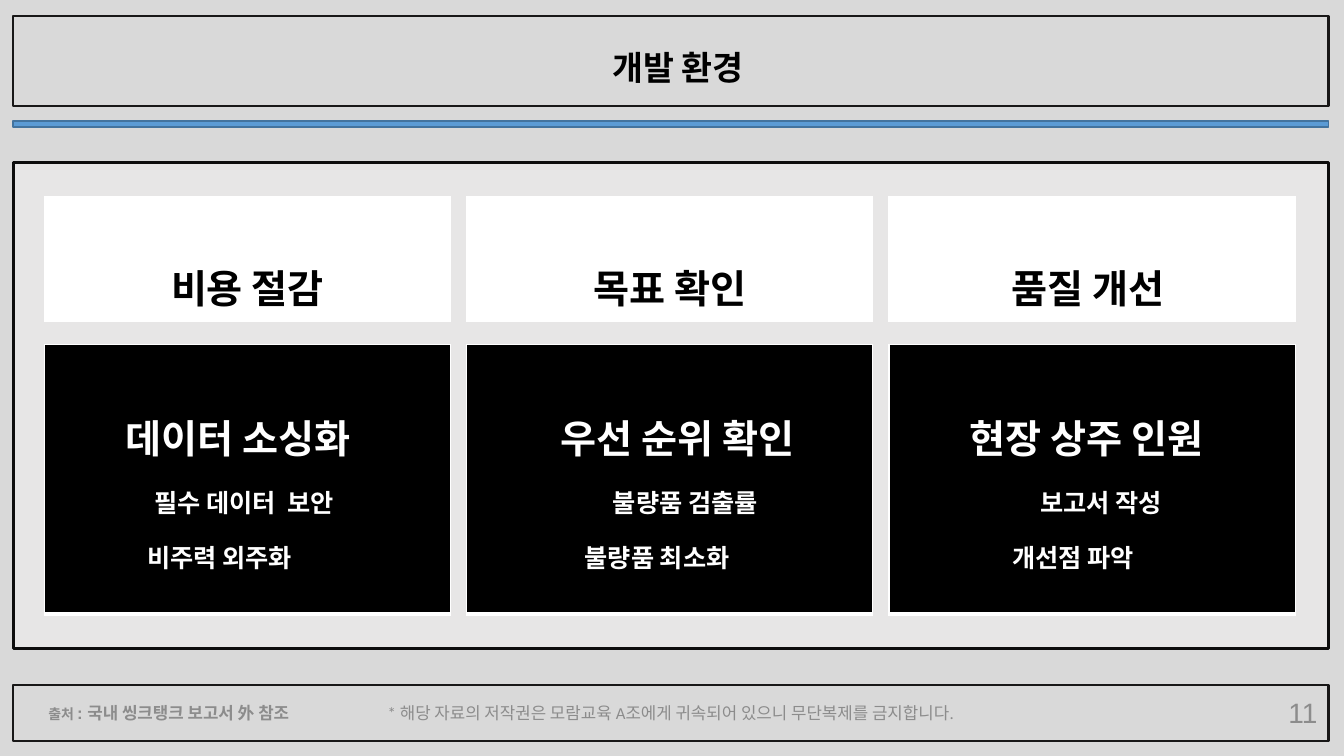
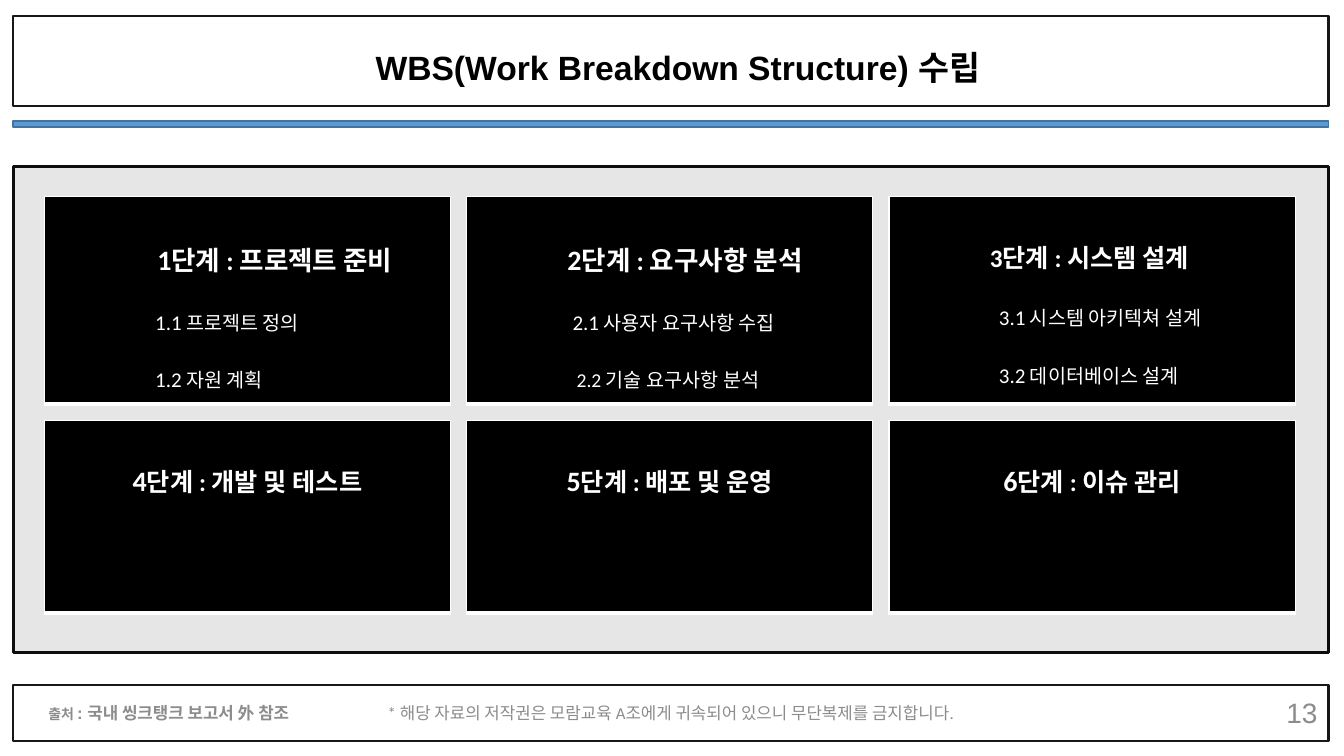
from dataclasses import dataclass

from lxml import etree
from pptx import Presentation
from pptx.dml.color import RGBColor
from pptx.enum.shapes import MSO_SHAPE
from pptx.enum.text import MSO_ANCHOR, MSO_AUTO_SIZE, PP_ALIGN
from pptx.oxml.ns import qn
from pptx.util import Emu, Inches, Pt

RECTANGLE = MSO_SHAPE.RECTANGLE
MIDDLE = MSO_ANCHOR.MIDDLE
NO_AUTOFIT = MSO_AUTO_SIZE.NONE
LEFT, CENTER, RIGHT = PP_ALIGN.LEFT, PP_ALIGN.CENTER, PP_ALIGN.RIGHT

BLACK = RGBColor(0x00, 0x00, 0x00)
WHITE = RGBColor(0xFF, 0xFF, 0xFF)
SILVER = RGBColor(0xD9, 0xD9, 0xD9)
PANEL = RGBColor(0xE7, 0xE6, 0xE6)
PANEL_EDGE = RGBColor(0x0D, 0x0D, 0x0D)
FRAME_EDGE = RGBColor(0x18, 0x17, 0x17)
BLUE = RGBColor(0x5B, 0x9B, 0xD5)
BLUE_EDGE = RGBColor(0x43, 0x73, 0x9E)
GRAY = RGBColor(0x8C, 0x8C, 0x8C)

HEADING_FONT, BODY_FONT = "Arial", "Calibri"
TITLE_ONLY = 5

# Grid in inches
FRAME_LEFT, FRAME_WIDTH = 0.13, 13.05
CARD_LEFT, CARD_WIDTH, CARD_PITCH = 0.44, 4.03, 4.19
CELL_MARGIN = 0.05
BORDERS = (("a:lnL", 1), ("a:lnR", 1), ("a:lnT", 1), ("a:lnB", 3))


@dataclass(frozen=True)
class Span:
    text: str
    size: float


@dataclass(frozen=True)
class Line:
    spans: tuple[Span, ...]
    indent: float | None = None  # inches; None centres the line
    bold: bool = True


@dataclass(frozen=True)
class Row:
    """A row of cards that share position, colours and spacing."""
    top: float
    height: float
    cards: tuple[tuple[Line, ...], ...]
    fill: RGBColor = BLACK
    ink: RGBColor = WHITE
    font: str = BODY_FONT
    spacing: float = 2.0
    top_margin: float = CELL_MARGIN


@dataclass(frozen=True)
class Page:
    title: str
    number: int
    background: RGBColor
    panel_top: float
    rows: tuple[Row, ...]


def heading(text: str) -> tuple[Line, ...]:
    return (Line((Span(text, 28),)),)


def topic(title: str, first: str, second: str,
          indents: tuple[float, float, float]) -> tuple[Line, ...]:
    texts = zip((title, first, second), (28, 18, 18), indents)
    return tuple(Line((Span(text, size),), indent)
                 for text, size, indent in texts)


def stage(number: str, name: str, number_size: float = 20,
          name_size: float = 18, indent: float | None = None) -> Line:
    return Line((Span(number, number_size),
                 Span(f"단계 : {name}", name_size)), indent)


def task(number: str, name: str, indent: float,
         number_size: float = 15) -> Line:
    return Line((Span(number, number_size), Span(f" {name}", 14)),
                indent, bold=False)


PAGES = (
    Page("개발 환경", 11, SILVER, 1.61, (
        Row(1.95, 1.2, (heading("비용 절감"), heading("목표 확인"),
                        heading("품질 개선 ")),
            WHITE, BLACK, HEADING_FONT),
        Row(3.42, 2.67, (
            topic("데이터 소싱화", "필수 데이터  보안", "비주력 외주화",
                  (0.71, 0.99, 0.92)),
            topic("우선 순위 확인", "불량품 검출률", "불량품 최소화",
                  (0.83, 1.35, 1.07)),
            topic("현장 상주 인원", "보고서 작성", "개선점 파악",
                  (0.7, 1.4, 1.12)),
        ), spacing=1.5, top_margin=0.35),
    )),
    Page("WBS(Work Breakdown Structure) 수립", 13, WHITE, 1.65, (
        Row(1.95, 2.06, (
            (stage("1", "프로젝트 준비", 20, 19, 1.02),
             task("1.1", "프로젝트 정의", 1),
             task("1.2", "자원 계획", 1)),
            (stage("2", "요구사항 분석", 20, 19, 0.9),
             task("2.1", "사용자 요구사항 수집", 0.95),
             task("2.2", "기술 요구사항 분석", 0.99, 14)),
            (stage("3", "시스템 설계", 18, 18, 0.9),
             task("3.1", "시스템 아키텍쳐 설계", 0.99),
             task("3.2", "데이터베이스 설계", 0.99)),
        )),
        Row(4.17, 1.91, ((stage("4", "개발 및 테스트"),),
                         (stage("5", "배포 및 운영"),),
                         (stage("6", "이슈 관리"),))),
    )),
)


def add_frame(slide, top: float, height: float, edge: RGBColor,
              weight: float, fill: RGBColor | None = None) -> None:
    """Draw a full-width rectangle."""
    box = slide.shapes.add_shape(
        RECTANGLE, Inches(FRAME_LEFT), Inches(top),
        Inches(FRAME_WIDTH), Inches(height))
    box.shadow.inherit = False
    if fill is None:
        box.fill.background()
    else:
        box.fill.solid()
        box.fill.fore_color.rgb = fill
    box.line.color.rgb = edge
    box.line.width = Pt(weight)


def write_line(para, line: Line, font: str, ink: RGBColor,
               align: PP_ALIGN = CENTER) -> None:
    para.alignment = align if line.indent is None else LEFT
    if line.indent is not None:
        properties = para._p.get_or_add_pPr()
        properties.set("marL", str(Inches(line.indent)))
        properties.set("indent", "0")
    para.font.name = font
    para.font.bold = line.bold
    para.font.color.rgb = ink
    for span in line.spans:
        run = para.add_run()
        run.text = span.text
        run.font.size = Pt(span.size)


def add_label(slide, left: float, top: float, width: float, height: float,
              line: Line, font: str = HEADING_FONT,
              align: PP_ALIGN = CENTER) -> None:
    box = slide.shapes.add_textbox(
        Inches(left), Inches(top), Inches(width), Inches(height))
    frame = box.text_frame
    frame.word_wrap = True
    frame.vertical_anchor = MIDDLE
    write_line(frame.paragraphs[0], line, font, GRAY, align)


def set_borders(cell) -> None:
    properties = cell._tc.get_or_add_tcPr()
    for tag, weight in BORDERS:
        border = etree.SubElement(properties, qn(tag), w=str(Pt(weight)))
        fill = etree.SubElement(border, qn("a:solidFill"))
        etree.SubElement(fill, qn("a:srgbClr"), val=str(WHITE))


def add_card(slide, column: int, row: Row, lines: tuple[Line, ...]) -> None:
    """Draw a one-cell table in a column of the grid."""
    table = slide.shapes.add_table(
        1, 1, Inches(CARD_LEFT + column * CARD_PITCH), Inches(row.top),
        Inches(CARD_WIDTH), Inches(row.height)).table
    table.first_row = table.horz_banding = False
    cell = table.cell(0, 0)
    set_borders(cell)
    cell.fill.solid()
    cell.fill.fore_color.rgb = row.fill
    cell.margin_top = Inches(row.top_margin)
    frame = cell.text_frame
    for index, line in enumerate(lines):
        para = frame.add_paragraph() if index else frame.paragraphs[0]
        para.line_spacing = row.spacing
        write_line(para, line, row.font, row.ink)


def set_title(slide, text: str) -> None:
    title = slide.shapes.title
    title.left, title.top = Inches(FRAME_LEFT), Inches(0.16)
    title.width, title.height = Inches(FRAME_WIDTH), Inches(0.89)
    title.line.color.rgb = FRAME_EDGE
    title.line.width = Pt(1.5)
    frame = title.text_frame
    frame.auto_size = NO_AUTOFIT
    frame.vertical_anchor = MIDDLE
    frame.margin_left, frame.margin_top = Inches(0.24), Inches(0.23)
    para = frame.paragraphs[0]
    para.line_spacing = 0.9
    write_line(para, Line((Span(text, 24),)), HEADING_FONT, BLACK)


def add_footer(slide, number: int) -> None:
    add_frame(slide, 6.8, 0.55, FRAME_EDGE, 1.5)
    add_label(slide, FRAME_LEFT, 6.83, 3.09, 0.48, Line((
        Span("출처 ", 10), Span(": 국내 씽크탱크 보고서 外 참조", 12))))
    add_label(slide, 3.52, 6.83, 6.27, 0.48, Line((Span(
        "* 해당 자료의 저작권은 모람교육 A조에게 귀속되어 있으니 "
        "무단복제를 금지합니다.", 12),), bold=False), BODY_FONT)
    add_label(slide, 10.17, 6.87, 3, 0.4,
              Line((Span(str(number), 20),), bold=False), align=RIGHT)


def add_page(deck, page: Page) -> None:
    slide = deck.slides.add_slide(deck.slide_layouts[TITLE_ONLY])
    slide.background.fill.solid()
    slide.background.fill.fore_color.rgb = page.background
    # Title band
    set_title(slide, page.title)
    add_frame(slide, 1.2, 0.06, BLUE_EDGE, 1, BLUE)
    # Panel and cards
    add_frame(slide, page.panel_top, 4.82, PANEL_EDGE, 2.25, PANEL)
    for row in page.rows:
        for column, lines in enumerate(row.cards):
            add_card(slide, column, row, lines)
    add_footer(slide, page.number)


def main() -> None:
    deck = Presentation()
    deck.slide_width, deck.slide_height = Emu(12192000), Inches(7.5)
    for page in PAGES:
        add_page(deck, page)
    deck.save("out.pptx")


if __name__ == "__main__":
    main()
